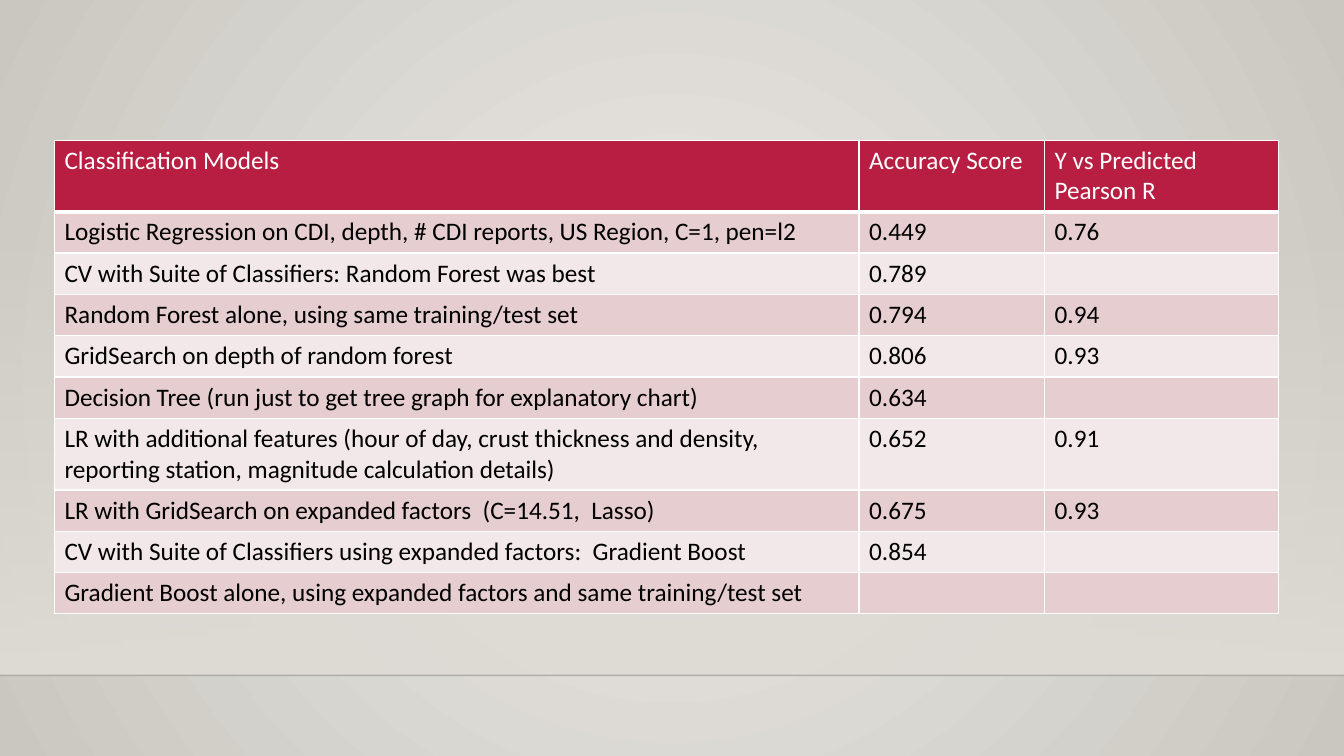
from lxml import etree
from pptx import Presentation
from pptx.dml.color import RGBColor
from pptx.enum.shapes import MSO_CONNECTOR, MSO_SHAPE
from pptx.oxml import parse_xml
from pptx.oxml.ns import nsdecls, qn
from pptx.util import Inches, Pt

RECTANGLE = MSO_SHAPE.RECTANGLE
STRAIGHT = MSO_CONNECTOR.STRAIGHT

HEADER = ("Classification Models", "Accuracy Score", "Y vs Predicted Pearson R")
MODELS = [
    ("Logistic Regression on CDI, depth, # CDI reports, US Region, C=1, pen=l2", "0.449", "0.76"),
    ("CV with Suite of Classifiers: Random Forest was best", "0.789", ""),
    ("Random Forest alone, using same training/test set", "0.794", "0.94"),
    ("GridSearch on depth of random forest", "0.806", "0.93"),
    ("Decision Tree (run just to get tree graph for explanatory chart)", "0.634", ""),
    ("LR with additional features (hour of day, crust thickness and density, "
     "reporting station, magnitude calculation details)", "0.652", "0.91"),
    ("LR with GridSearch on expanded factors  (C=14.51,  Lasso)", "0.675", "0.93"),
    ("CV with Suite of Classifiers using expanded factors:  Gradient Boost", "0.854", ""),
    ("Gradient Boost alone, using expanded factors and same training/test set", "", ""),
]

THEME = {
    "font": "Calibri", "size": 18,
    "header": "B71E42", "header_text": "FFFFFF", "text": "000000",
    "bands": ("E6CDCF", "F3E8E9"), "border": "FFFFFF",
    "center": "ECEAE7", "edge": "CAC7C1",
    "floor": "DFDBD5", "floor_line": "000001",
}

SLIDE_W, SLIDE_H = 13.33, 7.5
FLOOR_TOP, FLOOR_BOTTOM = 2.21, 6.7
TABLE_LEFT, TABLE_TOP = 0.54, 1.39
COLUMNS = (7.98, 1.84, 2.32)
ROW_H, TALL_ROW_H = 0.41, 0.7
TALL_ROWS = (0, 6)


def set_gradient(fill, props, stops, direction):
    """Give props a gradient of (position, colour, opacity) stops, all in percent."""
    fill.gradient()
    grad = props.find(qn("a:gradFill"))
    for child in list(grad):
        grad.remove(child)
    stop_xml = "".join(
        f'<a:gs pos="{pos * 1000}"><a:srgbClr val="{color}">'
        f'<a:alpha val="{opacity * 1000}"/></a:srgbClr></a:gs>'
        for pos, color, opacity in stops)
    grad.append(parse_xml(f'<a:gsLst {nsdecls("a")}>{stop_xml}</a:gsLst>'))
    grad.append(parse_xml(direction))


def add_backdrop(s):
    fill = s.background.fill
    set_gradient(
        fill, s.element.cSld.find(qn("p:bg")).find(qn("p:bgPr")),
        [(0, THEME["center"], 100), (100, THEME["edge"], 100)],
        f'<a:path {nsdecls("a")} path="circle">'
        '<a:fillToRect l="50000" t="50000" r="50000" b="50000"/></a:path>')

    floor = s.shapes.add_shape(RECTANGLE, 0, Inches(FLOOR_TOP), Inches(SLIDE_W),
                               Inches(FLOOR_BOTTOM - FLOOR_TOP))
    floor.shadow.inherit = False
    floor.line.fill.background()
    set_gradient(floor.fill, floor.element.spPr,
                 [(0, THEME["floor"], 0), (100, THEME["floor"], 100)],
                 f'<a:lin {nsdecls("a")} ang="5400000" scaled="0"/>')

    edge = s.shapes.add_connector(STRAIGHT, 0, Inches(FLOOR_BOTTOM),
                                  Inches(SLIDE_W), Inches(FLOOR_BOTTOM))
    edge.line.width = Pt(1)
    edge.line.color.rgb = RGBColor.from_string(THEME["floor_line"])
    color = edge.element.spPr.find(f'.//{qn("a:srgbClr")}')
    etree.SubElement(color, qn("a:alpha")).set("val", "20000")
    etree.SubElement(edge.element.spPr, qn("a:effectLst"))


def set_borders(cell, bottom):
    tc_pr = cell._tc.get_or_add_tcPr()
    for i, (side, width) in enumerate((("L", 1), ("R", 1), ("T", 1), ("B", bottom))):
        tc_pr.insert(i, parse_xml(
            f'<a:ln{side} {nsdecls("a")} w="{Pt(width)}"><a:solidFill>'
            f'<a:srgbClr val="{THEME["border"]}"/></a:solidFill></a:ln{side}>'))


def fill_cell(cell, text, fill, color, bottom):
    cell.fill.solid()
    cell.fill.fore_color.rgb = RGBColor.from_string(fill)
    set_borders(cell, bottom)
    if text:
        r = cell.text_frame.paragraphs[0].add_run()
        r.text = text
        r.font.name = THEME["font"]
        r.font.size = Pt(THEME["size"])
        r.font.bold = False
        r.font.color.rgb = RGBColor.from_string(color)


def add_model_table(s):
    rows = [HEADER] + MODELS
    heights = [TALL_ROW_H if i in TALL_ROWS else ROW_H for i in range(len(rows))]
    table = s.shapes.add_table(
        len(rows), len(COLUMNS), Inches(TABLE_LEFT), Inches(TABLE_TOP),
        Inches(sum(COLUMNS)), Inches(sum(heights))).table
    for column, width in zip(table.columns, COLUMNS):
        column.width = Inches(width)
    for i, (values, height) in enumerate(zip(rows, heights)):
        table.rows[i].height = Inches(height)
        if i == 0:
            look = THEME["header"], THEME["header_text"], 3
        else:
            look = THEME["bands"][(i - 1) % 2], THEME["text"], 1
        for j, text in enumerate(values):
            fill_cell(table.cell(i, j), text, *look)


def main():
    prs = Presentation()
    prs.slide_width, prs.slide_height = Inches(SLIDE_W), Inches(SLIDE_H)
    s = prs.slides.add_slide(prs.slide_layouts[6])
    add_backdrop(s)
    add_model_table(s)
    prs.save("out.pptx")


if __name__ == "__main__":
    main()
